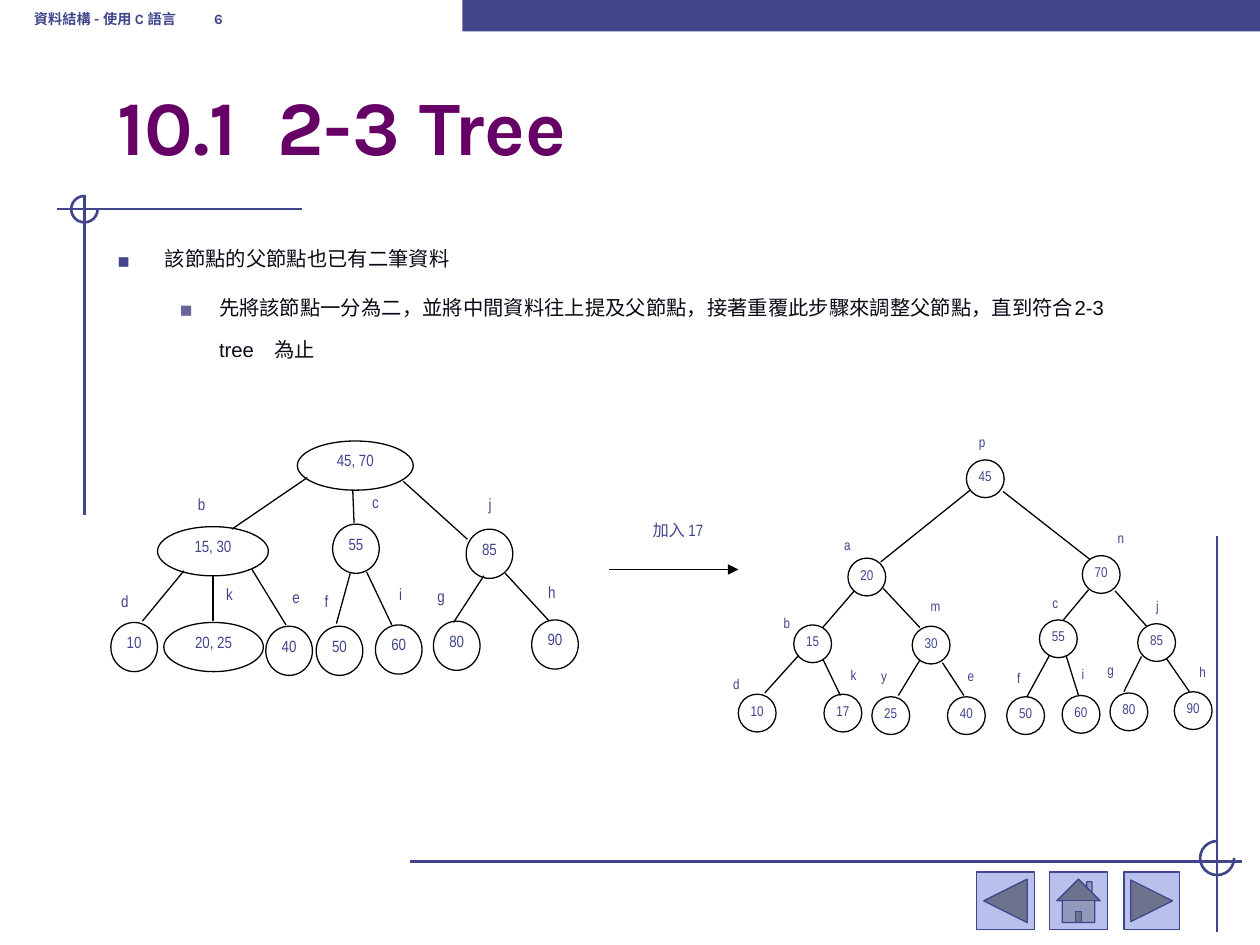
import pptx
import pptx.util
import pptx.dml.color
import pptx.enum.shapes
import pptx.enum.text
import pptx.oxml.ns
import lxml.etree

SHAPE = pptx.enum.shapes.MSO_SHAPE
ALIGN = pptx.enum.text.PP_ALIGN
ANCHOR = pptx.enum.text.MSO_ANCHOR
BLUE = "40458C"
BLACK = "000000"

LEFT = [
    ("45, 70", (1.56, 0, 0.92), None, None, None),
    ("15, 30", (0.45, 0.68, 0.88), "b", (0.59, 0.4), (1.64, 0.29, 1.04, 0.7)),
    ("55", (1.84, 0.66), "c", (1.97, 0.39), (2, 0.39, 2.01, 0.65)),
    ("85", (2.9, 0.7), "j", (2.88, 0.4), (2.4, 0.32, 2.91, 0.78)),
    ("10", (0.08, 1.44), "d", (-0.02, 1.17), (0.66, 1.03, 0.33, 1.43)),
    ("20, 25", (0.5, 1.44, 0.79), "k", (0.81, 1.12), (0.89, 1.07, 0.89, 1.43)),
    ("40", (1.31, 1.47), "e", (1.34, 1.14), (1.2, 1.02, 1.47, 1.46)),
    ("50", (1.71, 1.47), "f", (1.58, 1.17), (1.98, 1.05, 1.87, 1.45)),
    ("60", (2.18, 1.46), "i", (2.17, 1.12), (2.11, 1.04, 2.31, 1.46)),
    ("80", (2.64, 1.43), "g", (2.49, 1.13), (3.04, 1.07, 2.8, 1.44)),
    ("90", (3.42, 1.42), "h", (3.37, 1.1), (3.21, 1.05, 3.56, 1.43)),
]
RIGHT = [
    ("45", (1.97, 0.25), "p", (1.92, 0.02), None),
    ("20", (1.03, 1.03), "a", (0.85, 0.84), (2, 0.49, 1.29, 1.06)),
    ("70", (2.89, 1.01), "n", (3.02, 0.78), (2.26, 0.5, 2.95, 1.04)),
    ("15", (0.6, 1.56), "b", (0.37, 1.46), (1.08, 1.29, 0.83, 1.58)),
    ("30", (1.54, 1.57), "m", (1.55, 1.32), (1.31, 1.27, 1.6, 1.58)),
    ("55", (2.55, 1.52), "c", (2.5, 1.3), (2.94, 1.28, 2.74, 1.52)),
    ("85", (3.33, 1.55), "j", (3.31, 1.32), (3.15, 1.29, 3.4, 1.57)),
    ("10", (0.16, 2.11), "d", (-0.03, 1.94), (0.64, 1.8, 0.37, 2.1)),
    ("17", (0.84, 2.11), "k", (0.9, 1.87), (0.83, 1.83, 0.97, 2.12)),
    ("25", (1.22, 2.13), "y", (1.14, 1.88), (1.6, 1.84, 1.43, 2.12)),
    ("40", (1.82, 2.13), "e", (1.83, 1.88), (1.78, 1.86, 1.95, 2.12)),
    ("50", (2.29, 2.13), "f", (2.21, 1.89), (2.63, 1.8, 2.45, 2.13)),
    ("60", (2.73, 2.12), "i", (2.72, 1.86), (2.76, 1.8, 2.86, 2.12)),
    ("80", (3.11, 2.1), "g", (2.94, 1.83), (3.36, 1.81, 3.22, 2.09)),
    ("90", (3.62, 2.09), "h", (3.67, 1.85), (3.56, 1.83, 3.74, 2.09)),
]


def size(inch):
    return pptx.util.Cm(inch * 2.54)


def span(*vals):
    return [size(v) for v in vals]


def tint(code):
    return pptx.dml.color.RGBColor.from_string(code)


def apply(item, vals):
    for key, val in vals.items():
        setattr(item, key, val)


def add_tag(root, tag, **vals):
    return lxml.etree.SubElement(root, pptx.oxml.ns.qn(tag), **vals)


def set_font(run, pts, face, code, bold=False, lift=True):
    apply(run.font, {"size": pptx.util.Pt(pts), "name": face, "bold": bold})
    run.font.color.rgb = tint(code)
    if lift:
        run._r.get_or_add_rPr().set("baseline", "25000")


def set_frame(frame, inset=None, anchor=ANCHOR.TOP):
    apply(frame, {"word_wrap": True, "vertical_anchor": anchor,
                  "auto_size": pptx.enum.text.MSO_AUTO_SIZE.NONE})
    if inset is not None:
        sides = ("left", "top", "right", "bottom")
        apply(frame, {"margin_" + side: size(inset) for side in sides})


def set_tab(para, inch):
    tabs = add_tag(para._p.get_or_add_pPr(), "a:tabLst")
    add_tag(tabs, "a:tab", pos=str(size(inch)), algn="l")


def add_line(slide, ends, code, pts, arrow=False):
    kind = pptx.enum.shapes.MSO_CONNECTOR.STRAIGHT
    line = slide.shapes.add_connector(kind, *span(*ends))
    line.line.color.rgb = tint(code)
    line.line.width = pptx.util.Pt(pts)
    if arrow:
        add_tag(line.line._get_or_add_ln(), "a:tailEnd", type="triangle")
    add_tag(line._element.spPr, "a:effectLst")


def add_form(slide, kind, box, fill=None, code=None, pts=0.75):
    form = slide.shapes.add_shape(kind, *span(*box))
    form.shadow.inherit = False
    if fill:
        form.fill.solid()
        form.fill.fore_color.rgb = tint(fill)
    else:
        form.fill.background()
    if code:
        form.line.color.rgb = tint(code)
        form.line.width = pptx.util.Pt(pts)
    else:
        form.line.fill.background()
    return form


def put_mark(shape, text, pts):
    set_frame(shape.text_frame, 0)
    para = shape.text_frame.paragraphs[0]
    apply(para, {"alignment": ALIGN.CENTER, "line_spacing": 0.96})
    run = para.add_run()
    run.text = text
    set_font(run, pts, "Arial Narrow", BLUE)


def add_cross(slide, x, y, wide, rows):
    for ends in rows:
        add_line(slide, ends, BLUE, 1.5)
    box = (x - wide / 2, y - wide / 2, wide, wide)
    arc = add_form(slide, SHAPE.ARC, box, code=BLUE, pts=1.5)
    arc.adjustments[0] = 0
    arc.adjustments[1] = 162


def add_keys(slide, x, y):
    keys = [(0, 0.46, SHAPE.ACTION_BUTTON_BACK_OR_PREVIOUS),
            (0.58, 0.46, SHAPE.ACTION_BUTTON_HOME),
            (1.17, 0.44, SHAPE.ACTION_BUTTON_FORWARD_OR_NEXT)]
    for dx, wide, kind in keys:
        add_form(slide, kind, (x + dx, y, wide, 0.46), "B7C1EB", BLUE)


def add_head(slide, box):
    head = slide.shapes.add_textbox(*span(*box))
    set_frame(head.text_frame, anchor=ANCHOR.BOTTOM)
    para = head.text_frame.paragraphs[0]
    set_tab(para, 1.43)
    run = para.add_run()
    run.text = "資料結構 - 使用 C 語言\t6"
    set_font(run, 14, "Karla", BLUE, bold=True)


def set_title(slide, box):
    title = slide.shapes.title
    apply(title, dict(zip(("left", "top", "width", "height"), span(*box))))
    set_frame(title.text_frame, anchor=ANCHOR.BOTTOM)
    para = title.text_frame.paragraphs[0]
    para.alignment = ALIGN.LEFT
    set_tab(para, 1.27)
    run = para.add_run()
    run.text = "10.1\t2-3 Tree"
    set_font(run, 44, "Karla", "660066", bold=True, lift=False)


def add_body(slide, box):
    rows = [(0, 0.38, -0.38, "▪", BLUE, 110, "該節點的父節點也已有二筆資料"),
            (1, 0.81, -0.31, "■", "666699", 60,
             "先將該節點一分為二，並將中間資料往上提及父節點，"
             "接著重覆此步驟來調整父節點，直到符合2-3 tree　為止")]
    frame = slide.shapes.add_textbox(*span(*box)).text_frame
    set_frame(frame)
    for level, left, hang, sign, code, pct, text in rows:
        para = frame.add_paragraph() if level else frame.paragraphs[0]
        apply(para, {"level": level, "space_before": pptx.util.Pt(4 * level)})
        props = para._p.get_or_add_pPr()
        props.set("marL", str(size(left)))
        props.set("indent", str(size(hang)))
        add_tag(add_tag(props, "a:buClr"), "a:srgbClr", val=code)
        add_tag(props, "a:buSzPct", val=str(pct * 1000))
        add_tag(props, "a:buFont", typeface="Arial")
        add_tag(props, "a:buChar", char=sign)
        run = para.add_run()
        run.text = text
        set_font(run, 20, "Arial", "090A15")


def add_tree(slide, x, y, rows, pts, wide, high, tag):
    for text, spot, name, place, edge in rows:
        if edge:
            x1, y1, x2, y2 = edge
            add_line(slide, (x + x1, y + y1, x + x2, y + y2), BLACK, 0.75)
        width = spot[2] if len(spot) > 2 else wide
        box = (x + spot[0], y + spot[1], width, high)
        put_mark(add_form(slide, SHAPE.OVAL, box, code=BLACK), text, pts)
        if name:
            box = span(x + place[0], y + place[1], *tag)
            put_mark(slide.shapes.add_textbox(*box), name, pts)


def add_step(slide, x, y):
    add_line(slide, (x + 0.16, y + 0.47, x + 1.19, y + 0.47), BLACK, 0.75, True)
    put_mark(add_form(slide, SHAPE.OVAL, (x, y, 1.42, 0.41)), "加入 17", 16)


def main():
    deck = pptx.Presentation()
    apply(deck, {"slide_width": size(10), "slide_height": size(7.5)})
    slide = deck.slides.add_slide(deck.slide_layouts[5])
    add_cross(slide, 0.67, 1.66, 0.21,
              [(2.4, 1.66, 0.45, 1.66), (0.67, 1.55, 0.67, 4.09)])
    add_form(slide, SHAPE.RECTANGLE, (3.67, 0, 6.33, 0.25), BLUE)
    add_keys(slide, 7.75, 6.92)
    add_cross(slide, 9.66, 6.81, 0.27,
              [(3.25, 6.84, 9.86, 6.84), (9.66, 4.25, 9.66, 7.4)])
    add_head(slide, (0.17, -0.17, 3.08, 0.5))
    set_title(slide, (0.83, 0.58, 8.5, 0.83))
    add_body(slide, (0.83, 1.86, 8.41, 4.02))
    add_tree(slide, 0.8, 3.5, LEFT, 16, 0.37, 0.39, (0.42, 0.28))
    add_step(slide, 4.67, 4.05)
    add_tree(slide, 5.7, 3.4, RIGHT, 14, 0.3, 0.3, (0.35, 0.21))
    deck.save("out.pptx")


if __name__ == "__main__":
    main()
